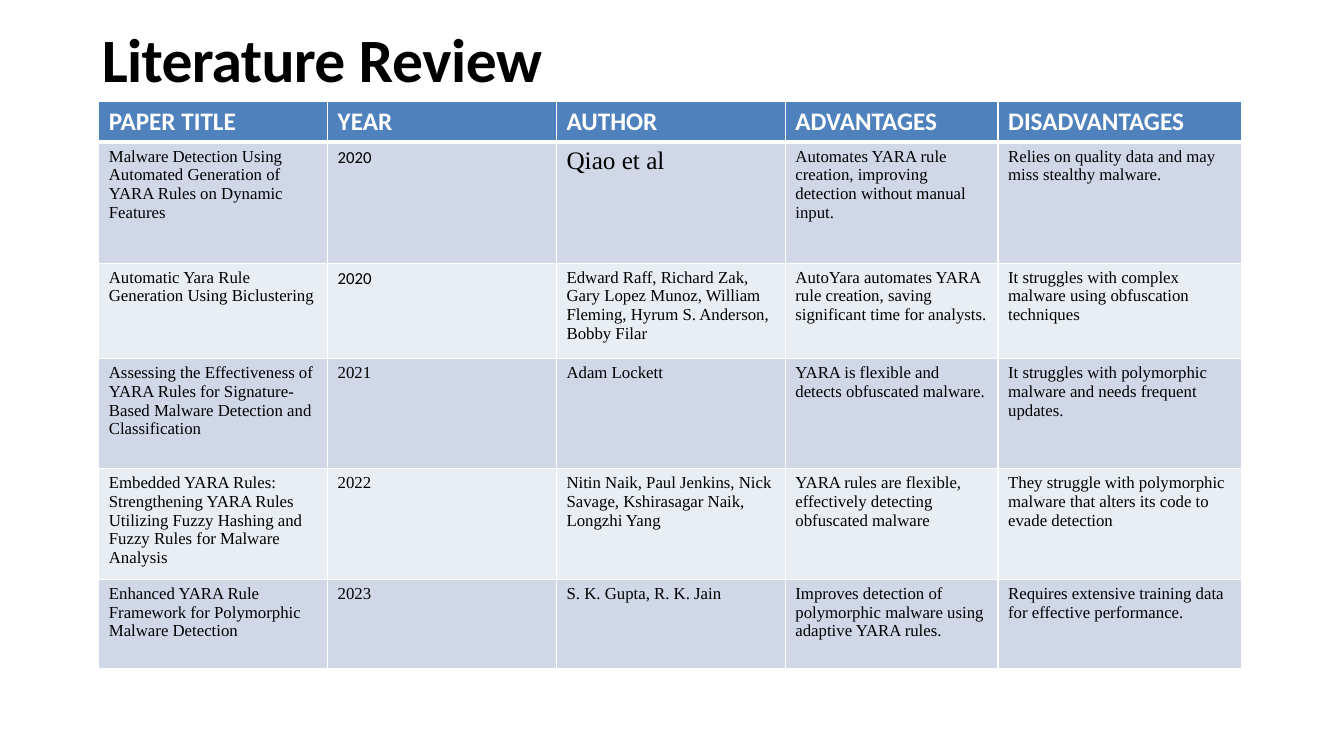
from dataclasses import dataclass

from lxml import etree
from pptx import Presentation
from pptx import util as u
from pptx.dml.color import RGBColor
from pptx.enum import text
from pptx.oxml import ns


@dataclass(frozen=True)
class Theme:
    heading_font: str = "Calibri"
    body_font: str = "Times New Roman"
    title_size: int = 44
    header_size: int = 18
    body_size: int = 12
    ink: str = "000000"
    white: str = "FFFFFF"
    header_fill: str = "4F81BD"
    band_fills: tuple = ("D0D8E8", "E9EDF4")
    thin_border: int = 1
    thick_border: int = 3


COLUMN_WIDTHS = (2.27, 2.27, 2.27, 2.11, 2.42)
ROW_HEIGHTS = (0.39, 1.2, 0.95, 1.09, 1.1, 0.88)
HEADERS = ("PAPER TITLE", "YEAR", "AUTHOR", "ADVANTAGES", "DISADVANTAGES")
PAPERS = (
    ("Malware Detection Using Automated Generation of YARA Rules on Dynamic Features",
     "2020", "Qiao et al",
     "Automates YARA rule creation, improving detection without manual input.",
     "Relies on quality data and may miss stealthy malware."),
    ("Automatic Yara Rule Generation Using Biclustering",
     "2020",
     "Edward Raff, Richard Zak, Gary Lopez Munoz, William Fleming, "
     "Hyrum S. Anderson, Bobby Filar",
     "AutoYara automates YARA rule creation, saving significant time for analysts.",
     "It struggles with complex malware using obfuscation techniques"),
    ("Assessing the Effectiveness of YARA Rules for Signature-Based Malware "
     "Detection and Classification",
     "2021", "Adam Lockett",
     "YARA is flexible and detects obfuscated malware.",
     "It struggles with polymorphic malware and needs frequent updates."),
    ("Embedded YARA Rules: Strengthening YARA Rules Utilizing Fuzzy Hashing and "
     "Fuzzy Rules for Malware Analysis",
     "2022", "Nitin Naik, Paul Jenkins, Nick Savage, Kshirasagar Naik, Longzhi Yang",
     "YARA rules are flexible, effectively detecting obfuscated malware",
     "They struggle with polymorphic malware that alters its code to evade detection"),
    ("Enhanced YARA Rule Framework for Polymorphic Malware Detection",
     "2023", "S. K. Gupta, R. K. Jain",
     "Improves detection of polymorphic malware using adaptive YARA rules.",
     "Requires extensive training data for effective performance."),
)


class SlideBuilder:
    def __init__(self, slide, theme):
        self.slide = slide
        self.theme = theme

    def add_run(self, paragraph, words, font, size, color, bold=False):
        run = paragraph.add_run()
        run.text = words
        run.font.name = font
        run.font.size = u.Pt(size)
        run.font.bold = bold
        run.font.color.rgb = RGBColor.from_string(color)
        return run

    def add_title(self, spaced_words, left, top, width, height):
        """Fill the title from (words, letter spacing in points) pairs."""
        title = self.slide.shapes.title
        title.left, title.top = u.Inches(left), u.Inches(top)
        title.width, title.height = u.Inches(width), u.Inches(height)
        frame = title.text_frame
        frame.margin_left = frame.margin_right = frame.margin_bottom = 0
        frame.margin_top = u.Inches(0.38)
        frame.vertical_anchor = text.MSO_ANCHOR.TOP
        frame.auto_size = text.MSO_AUTO_SIZE.SHAPE_TO_FIT_TEXT
        paragraph = frame.paragraphs[0]
        paragraph.alignment = text.PP_ALIGN.LEFT
        paragraph.space_before = u.Pt(1.3)
        paragraph_properties = paragraph._p.get_or_add_pPr()
        paragraph_properties.set("marL", str(u.Inches(0.01)))
        paragraph_properties.set("indent", "0")
        for words, spacing in spaced_words:
            run = self.add_run(paragraph, words, self.theme.heading_font,
                               self.theme.title_size, self.theme.ink, bold=True)
            run.font._element.set("spc", str(round(spacing * 100)))

    def add_table(self, left, top, rows):
        frame = self.slide.shapes.add_table(
            len(rows), len(COLUMN_WIDTHS), u.Inches(left), u.Inches(top),
            u.Inches(sum(COLUMN_WIDTHS)), u.Inches(sum(ROW_HEIGHTS)))
        table = frame.table
        table.horz_banding = False
        for column, width in zip(table.columns, COLUMN_WIDTHS):
            column.width = u.Inches(width)
        for row, height in zip(table.rows, ROW_HEIGHTS):
            row.height = u.Inches(height)
        for row_index, values in enumerate(rows):
            for column_index, words in enumerate(values):
                self.fill_cell(table.cell(row_index, column_index), row_index, words)

    def fill_cell(self, cell, row_index, words):
        theme = self.theme
        header = row_index == 0
        self.set_borders(cell, row_index)
        cell.fill.solid()
        fill = theme.header_fill if header else theme.band_fills[(row_index - 1) % 2]
        cell.fill.fore_color.rgb = RGBColor.from_string(fill)
        paragraph = cell.text_frame.paragraphs[0]
        if header:
            self.add_run(paragraph, words, theme.heading_font, theme.header_size,
                         theme.white, bold=True)
        else:
            font = theme.heading_font if words == "2020" else theme.body_font
            size = theme.header_size if words == "Qiao et al" else theme.body_size
            self.add_run(paragraph, words, font, size, theme.ink)

    def set_borders(self, cell, row_index):
        """Draw thin white borders, with a thick one below the header row."""
        thick_side = {0: "lnB", 1: "lnT"}.get(row_index)
        properties = cell._tc.get_or_add_tcPr()
        for side in ("lnL", "lnR", "lnT", "lnB"):
            points = (self.theme.thick_border if side == thick_side
                      else self.theme.thin_border)
            line = etree.SubElement(properties, ns.qn(f"a:{side}"), w=str(u.Pt(points)))
            solid = etree.SubElement(line, ns.qn("a:solidFill"))
            etree.SubElement(solid, ns.qn("a:srgbClr"), val=self.theme.white)


def main():
    presentation = Presentation()
    presentation.slide_width = u.Inches(13.33)
    presentation.slide_height = u.Inches(7.5)
    title_only = presentation.slide_layouts[5]
    builder = SlideBuilder(presentation.slides.add_slide(title_only), Theme())
    builder.add_title((("Literature ", -0.5), ("Review", -0.3)), 1, -0.17, 9.78, 1.16)
    builder.add_table(0.98, 1.01, (HEADERS, *PAPERS))
    presentation.save("out.pptx")


if __name__ == "__main__":
    main()
